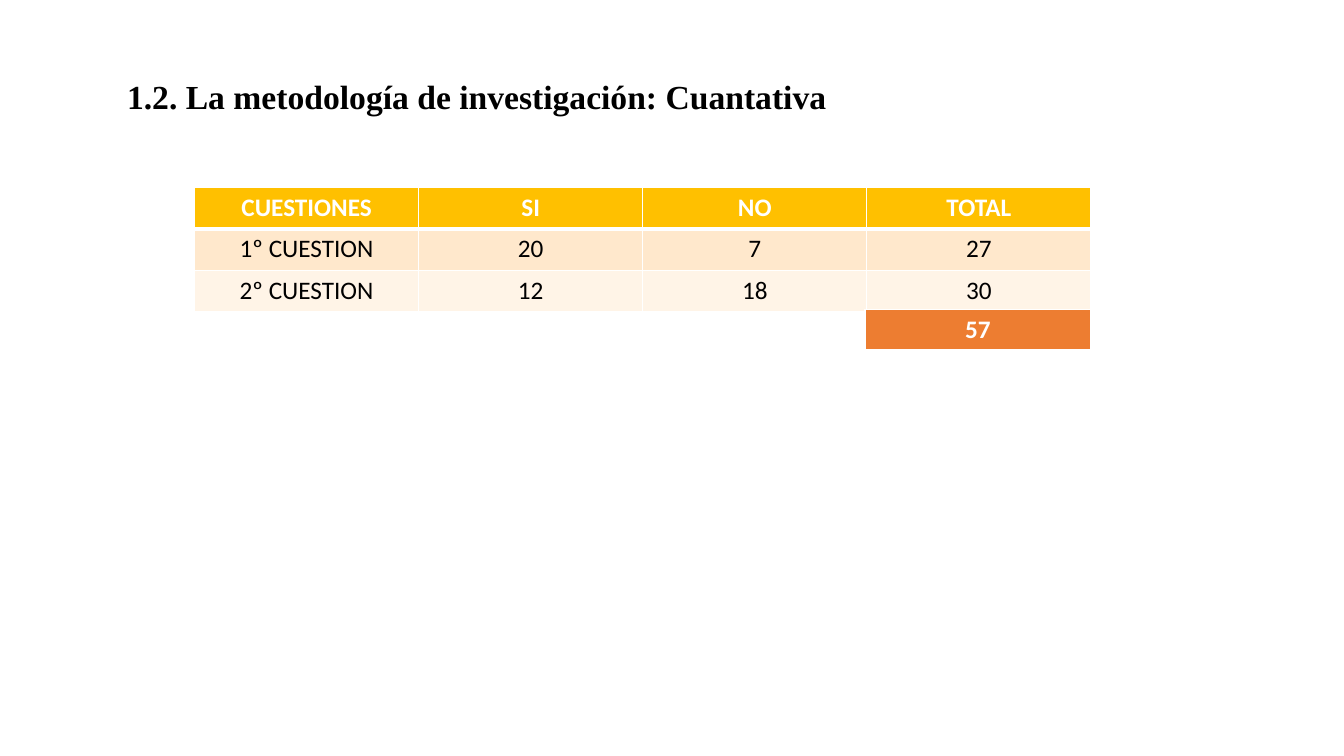
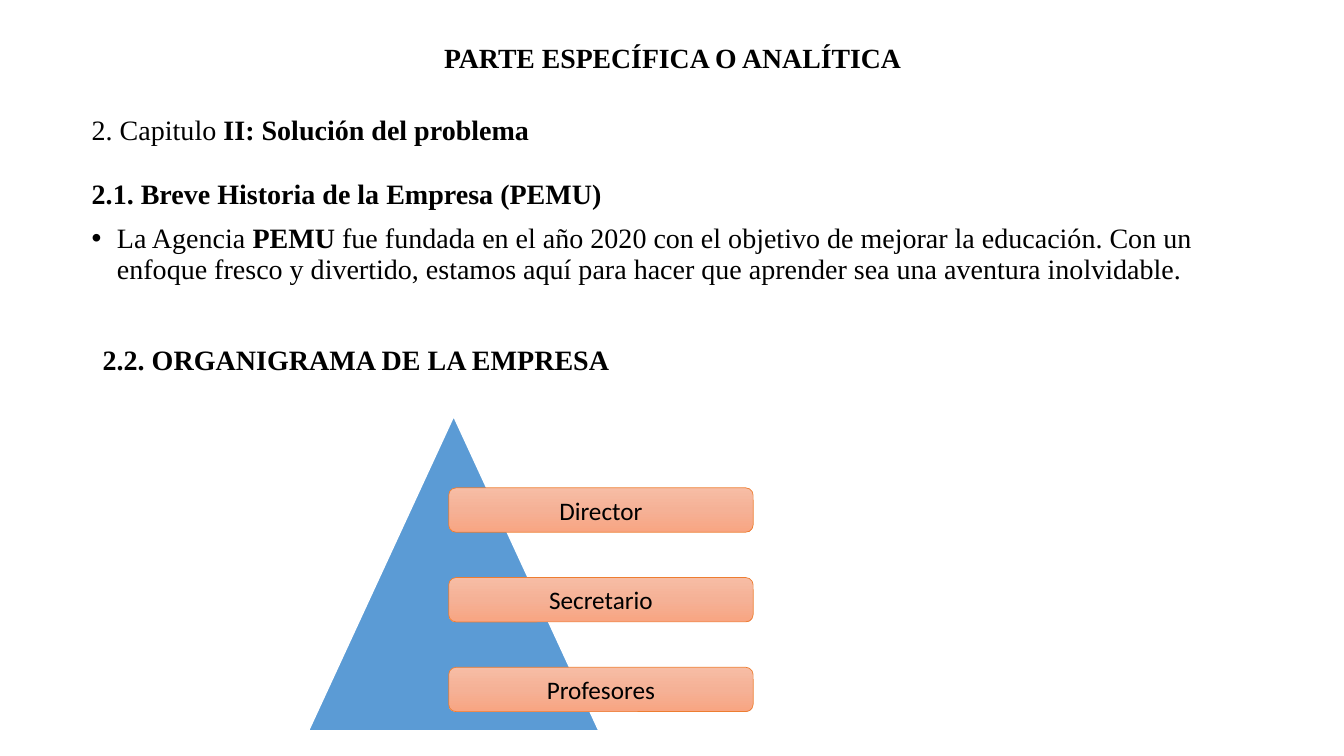
from copy import deepcopy
from lxml.etree import SubElement as Sub
from pptx import Presentation
from pptx.dml.color import RGBColor as RGB
from pptx.enum.shapes import MSO_SHAPE as SHAPE
from pptx.enum.text import MSO_ANCHOR as ANCHOR, MSO_AUTO_SIZE as AUTO, PP_ALIGN as ALIGN
from pptx.oxml.ns import qn
from pptx.util import Inches, Pt

BLACK = RGB(0x00, 0x00, 0x00)
WHITE = RGB(0xFF, 0xFF, 0xFF)
GOLD = RGB(0xFF, 0xC0, 0x00)
CREAM = RGB(0xFF, 0xE8, 0xCC)
PALE = RGB(0xFF, 0xF4, 0xE7)
ORANGE = RGB(0xED, 0x7D, 0x31)
BLUE = RGB(0x5B, 0x9B, 0xD5)
PEACH = [RGB(0xF7, 0xBD, 0xA5), RGB(0xF5, 0xB1, 0x96), RGB(0xF8, 0xA5, 0x82)]
SERIF = "Times New Roman"
SANS = "Calibri"
TITLE_ONLY, TITLE_BODY = 5, 1


class Deck:
    """Holds the style and the current slide."""

    def __init__(self):
        self.prs = Presentation()
        self.prs.slide_width = Inches(13.33)
        self.prs.slide_height = Inches(7.5)
        self.slide = None

    def add(self, layout):
        self.slide = self.prs.slides.add_slide(self.prs.slide_layouts[layout])

    def place(self, shape, box):
        shape.left, shape.top, shape.width, shape.height = map(Inches, box)
        frame = shape.text_frame
        frame.word_wrap = True
        frame.auto_size = AUTO.NONE
        return frame

    def style(self, para, size, name=SERIF, color=BLACK, bold=None, align=ALIGN.LEFT):
        para.alignment = align
        font = para.font
        font.name, font.size, font.bold = name, Pt(size), bold
        font.color.rgb = color

    def title(self, text, box, size, align=ALIGN.LEFT, anchor=ANCHOR.TOP):
        frame = self.place(self.slide.shapes.title, box)
        frame.vertical_anchor = anchor
        frame.text = text
        self.style(frame.paragraphs[0], size, bold=True, align=align)

    def label(self, text, box, size):
        frame = self.place(self.slide.shapes.add_textbox(0, 0, 0, 0), box)
        frame.text = text
        self.style(frame.paragraphs[0], size, bold=True)

    def body(self, items, box, size):
        """Each item is (bullet, line spacing, [(text, bold), ...])."""
        frame = self.place(self.slide.placeholders[1], box)
        for i, (bullet, space, runs) in enumerate(items):
            para = frame.add_paragraph() if i else frame.paragraphs[0]
            props = para._p.get_or_add_pPr()
            hang = Inches(0.25) if bullet else 0
            props.set("marL", str(hang))
            props.set("indent", str(-hang))
            if bullet:
                Sub(props, qn("a:buChar"), char="•")
            else:
                Sub(props, qn("a:buNone"))
            para.line_spacing = space
            para.space_before = Pt(10)
            self.style(para, size)
            for text, bold in runs:
                run = para.add_run()
                run.text = text
                run.font.bold = bold

    def edge(self, cell, base):
        """White cell borders, with the given bottom width."""
        props = cell._tc.get_or_add_tcPr()
        for side, width in zip("LRTB", (1, 1, 1, base)):
            line = Sub(props, qn("a:ln" + side), w=str(Pt(width)))
            fill = Sub(line, qn("a:solidFill"))
            Sub(fill, qn("a:srgbClr"), val=str(WHITE))

    def table(self, rows, fills, left, top, width, head):
        """Rows are 0.41 high; the first one is bold white on a fill."""
        high = 0.41
        grid = self.slide.shapes.add_table(
            len(rows), len(rows[0]), Inches(left), Inches(top),
            Inches(width), Inches(high * len(rows))).table
        grid.first_row = grid.horz_banding = False
        for r, (row, fill) in enumerate(zip(rows, fills)):
            grid.rows[r].height = Inches(high)
            first = head and r == 0
            for c, text in enumerate(row):
                cell = grid.cell(r, c)
                self.edge(cell, 3 if first else 1)
                cell.fill.solid()
                cell.fill.fore_color.rgb = fill
                cell.text = text
                self.style(cell.text_frame.paragraphs[0], 18, SANS,
                           WHITE if first else BLACK, first, ALIGN.CENTER)

    def shape(self, kind, box, line, width):
        shape = self.slide.shapes.add_shape(kind, *map(Inches, box))
        shape.shadow.inherit = False
        shape.line.color.rgb = line
        shape.line.width = Pt(width)
        return shape

    def peak(self, box):
        shape = self.shape(SHAPE.ISOSCELES_TRIANGLE, box, WHITE, 1)
        shape.fill.solid()
        shape.fill.fore_color.rgb = BLUE

    def role(self, text, box):
        shape = self.shape(SHAPE.ROUNDED_RECTANGLE, box, ORANGE, 0.5)
        fill = shape.fill
        fill.gradient()
        fill.gradient_angle = 270
        # Add a middle stop to the two that come by default
        stops = shape._element.spPr.find(".//" + qn("a:gsLst"))
        stops.insert(1, deepcopy(stops[0]))
        for stop, spot, color in zip(fill.gradient_stops, (0, 0.5, 1), PEACH):
            stop.position = spot
            stop.color.rgb = color
        frame = shape.text_frame
        frame.vertical_anchor = ANCHOR.MIDDLE
        frame.text = text
        self.style(frame.paragraphs[0], 18, SANS, align=ALIGN.CENTER)


def main():
    deck = Deck()

    # Slide 1: survey results
    deck.add(TITLE_ONLY)
    deck.title("1.2. La metodología de investigación: Cuantativa",
               (1.16, 0.7, 11.59, 0.81), 24)
    deck.table([["CUESTIONES", "SI", "NO", "TOTAL"],
                ["1º CUESTION", "20", "7", "27"],
                ["2º CUESTION", "12", "18", "30"]],
               [GOLD, CREAM, PALE], 1.93, 1.86, 8.89, True)
    deck.table([["57"]], [ORANGE], 8.58, 3.07, 2.24, True)

    # Slide 2: history and chart of the firm
    deck.add(TITLE_BODY)
    deck.title("PARTE ESPECÍFICA O ANALÍTICA", (0.92, 0.25, 11.5, 0.63), 19.8,
               ALIGN.CENTER, ANCHOR.MIDDLE)
    deck.body([
        (False, 1.5, [("2. Capitulo ", False), ("II: Solución del problema", True)]),
        (False, 1.5, [("2.1. Breve Historia de la Empresa (PEMU)", True)]),
        (True, 0.9, [
            ("La Agencia ", False), ("PEMU ", True),
            ("fue fundada en el año 2020 con el objetivo de mejorar la educación. "
             "Con un enfoque fresco y divertido, estamos aquí para hacer que "
             "aprender sea una aventura inolvidable.", False)]),
    ], (0.81, 0.9, 11.5, 2.17), 20)
    deck.peak((3.06, 4.13, 2.88, 3.12))
    for i, name in enumerate(["Director", "Secretario", "Profesores"]):
        deck.role(name, (4.45, 4.84 + 0.89 * i, 3.02, 0.44))
    deck.label("2.2. ORGANIGRAMA DE LA EMPRESA", (0.92, 3.35, 8.21, 0.44), 20)

    deck.prs.save("out.pptx")


if __name__ == "__main__":
    main()
